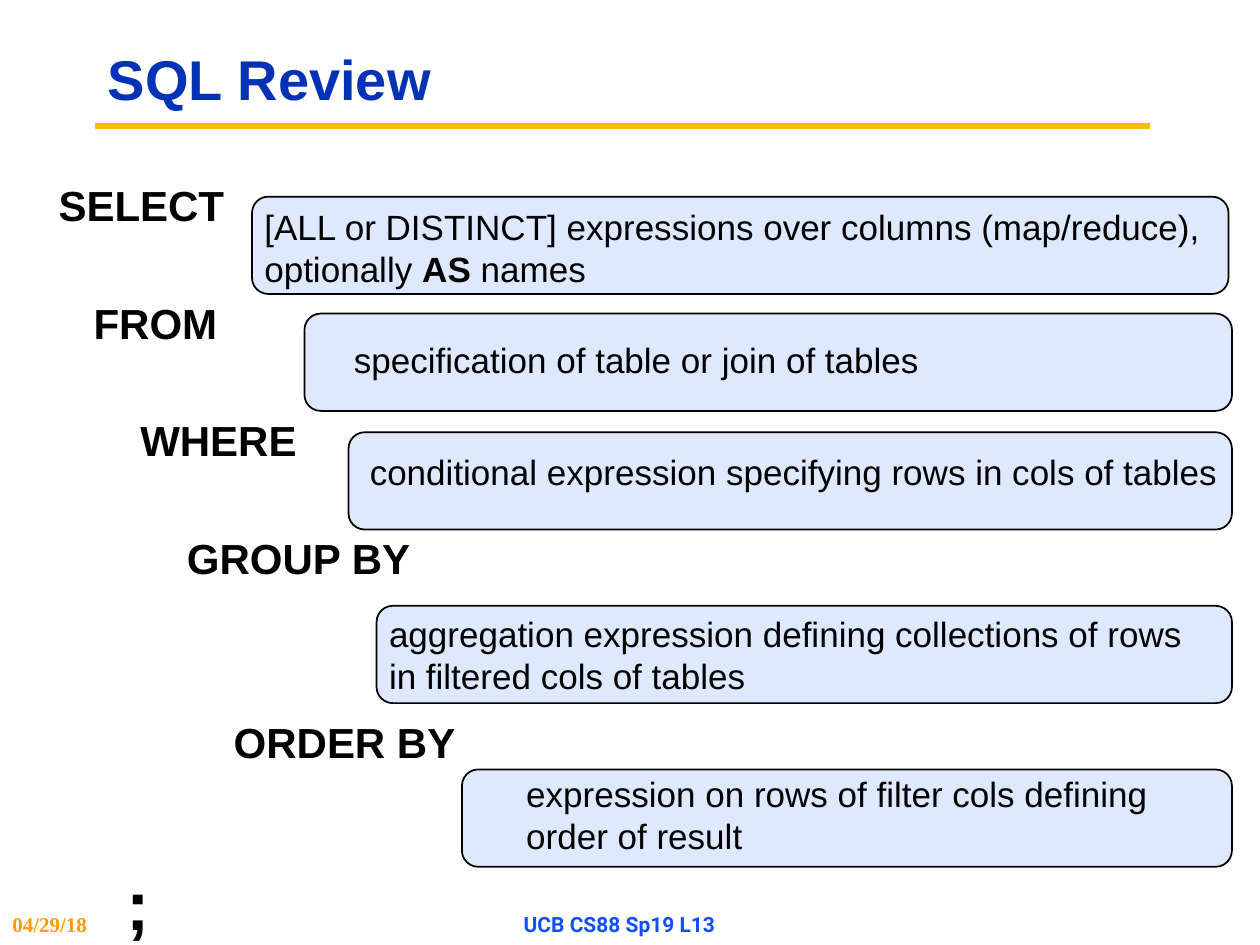
import pptx
import pptx.dml.color
import pptx.enum.shapes
import pptx.enum.text
import pptx.oxml
import pptx.oxml.ns
import pptx.util

Pt = pptx.util.Pt
RGBColor = pptx.dml.color.RGBColor
ALIGN = pptx.enum.text.PP_ALIGN
ANCHOR = pptx.enum.text.MSO_ANCHOR

BLACK = RGBColor(0x00, 0x00, 0x00)
TITLE_BLUE = RGBColor(0x03, 0x32, 0xB7)
FOOTER_BLUE = RGBColor(0x11, 0x4F, 0xFB)
GOLD = RGBColor(0xFB, 0xBA, 0x03)
ORANGE = RGBColor(0xFF, 0x99, 0x00)
PALE_BLUE = RGBColor(0xDE, 0xE8, 0xFF)

SPACE = 6.67  # width of one space in the 24 pt keywords
BOX_RIGHT, BOX_HEIGHT = 704, 55.6

# Keyword, indent, space before, size
KEYWORDS = [
    ("SELECT", 0, 0, 24),
    ("FROM", 3 * SPACE, 41.4, 24),
    ("WHERE", 7 * SPACE, 41.4, 24),
    ("GROUP BY", 11 * SPACE, 41.4, 24),
    ("ORDER BY", 15 * SPACE, 79.2, 24),
    (";", 39, 58.7, 40),
]

# Box (left, top, right), text (left, top, width), runs of (text, bold)
CLAUSES = [
    ((144, 112.4, 702), (144, 113.8, 560),
     [("[ALL or DISTINCT] expressions over columns (map/reduce), optionally ", False),
      ("AS", True), (" names", False)]),
    ((174, 179.2, BOX_RIGHT), (195.2, 190, 340),
     [("specification of table or join of tables", False)]),
    ((199.2, 247, BOX_RIGHT), (204.2, 254, 502.6),
     [("conditional expression specifying rows in cols of tables", False)]),
    ((215.2, 346.2, BOX_RIGHT), (215.2, 346.2, 481),
     [("aggregation expression defining collections of rows in filtered cols of tables", False)]),
    ((264, 439.7, BOX_RIGHT), (293.6, 437.6, 394.6),
     [("expression on rows of filter cols defining order of result", False)]),
]


def add_run(p, text, size=20, font="Arial", color=BLACK, bold=False):
    r = p.add_run()
    r.text = text
    r.font.size = Pt(size)
    r.font.name = font
    r.font.bold = bold
    r.font.color.rgb = color


def add_text_box(shapes, left, top, width, height, anchor=ANCHOR.TOP):
    tf = shapes.add_textbox(Pt(left), Pt(top), Pt(width), Pt(height)).text_frame
    tf.word_wrap = True
    tf.vertical_anchor = anchor
    return tf


def add_title(s, left, top, width, height):
    # Rule below the title
    rule = s.shapes.add_connector(pptx.enum.shapes.MSO_CONNECTOR.STRAIGHT,
                                  Pt(left), Pt(72), Pt(left + 602.5), Pt(72))
    rule.line.color.rgb = GOLD
    rule.line.width = Pt(3.75)
    rule._element.spPr.append(pptx.oxml.parse_xml(
        "<a:effectLst %s/>" % pptx.oxml.ns.nsdecls("a")))

    title = s.shapes.title
    title.left, title.top = Pt(left), Pt(top)
    title.width, title.height = Pt(width), Pt(height)
    tf = title.text_frame
    tf.vertical_anchor = ANCHOR.MIDDLE
    p = tf.paragraphs[0]
    p.alignment = ALIGN.LEFT
    p.line_spacing = 0.9
    add_run(p, "SQL Review", size=32, color=TITLE_BLUE, bold=True)


def add_clause(s, box, text_box, runs):
    group = s.shapes.add_group_shape()
    left, top, right = box
    sp = group.shapes.add_shape(pptx.enum.shapes.MSO_SHAPE.ROUNDED_RECTANGLE,
                                Pt(left), Pt(top), Pt(right - left), Pt(BOX_HEIGHT))
    sp.shadow.inherit = False
    sp.fill.solid()
    sp.fill.fore_color.rgb = PALE_BLUE
    sp.line.color.rgb = BLACK
    sp.line.width = Pt(1)

    p = add_text_box(group.shapes, *text_box, BOX_HEIGHT).paragraphs[0]
    for text, bold in runs:
        add_run(p, text, bold=bold)


def add_keywords(s, left, top, width, height):
    tf = add_text_box(s.shapes, left, top, width, height)
    for i, (text, indent, before, size) in enumerate(KEYWORDS):
        p = tf.add_paragraph() if i else tf.paragraphs[0]
        p._p.get_or_add_pPr().set("marL", str(Pt(indent)))
        p.line_spacing = 0.9
        p.space_before = Pt(before)
        add_run(p, text, size=size, bold=True)


def add_footer(s, top, height):
    p = add_text_box(s.shapes, 0, top, 120, height, ANCHOR.MIDDLE).paragraphs[0]
    add_run(p, "04/29/18", size=12, font="Times New Roman", color=ORANGE, bold=True)
    p = add_text_box(s.shapes, 240, top, 228, height, ANCHOR.MIDDLE).paragraphs[0]
    p.alignment = ALIGN.CENTER
    add_run(p, "UCB CS88 Sp19 L13", size=12, font="Roboto", color=FOOTER_BLUE, bold=True)


def main():
    prs = pptx.Presentation()
    prs.slide_width, prs.slide_height = Pt(720), Pt(540)
    s = prs.slides.add_slide(prs.slide_layouts[5])
    add_title(s, 54.5, 18, 606, 58.3)
    for clause in CLAUSES:
        add_clause(s, *clause)
    add_keywords(s, 26.4, 102.2, 693.6, 414)
    add_footer(s, 516, 24)
    prs.save("out.pptx")


if __name__ == "__main__":
    main()
